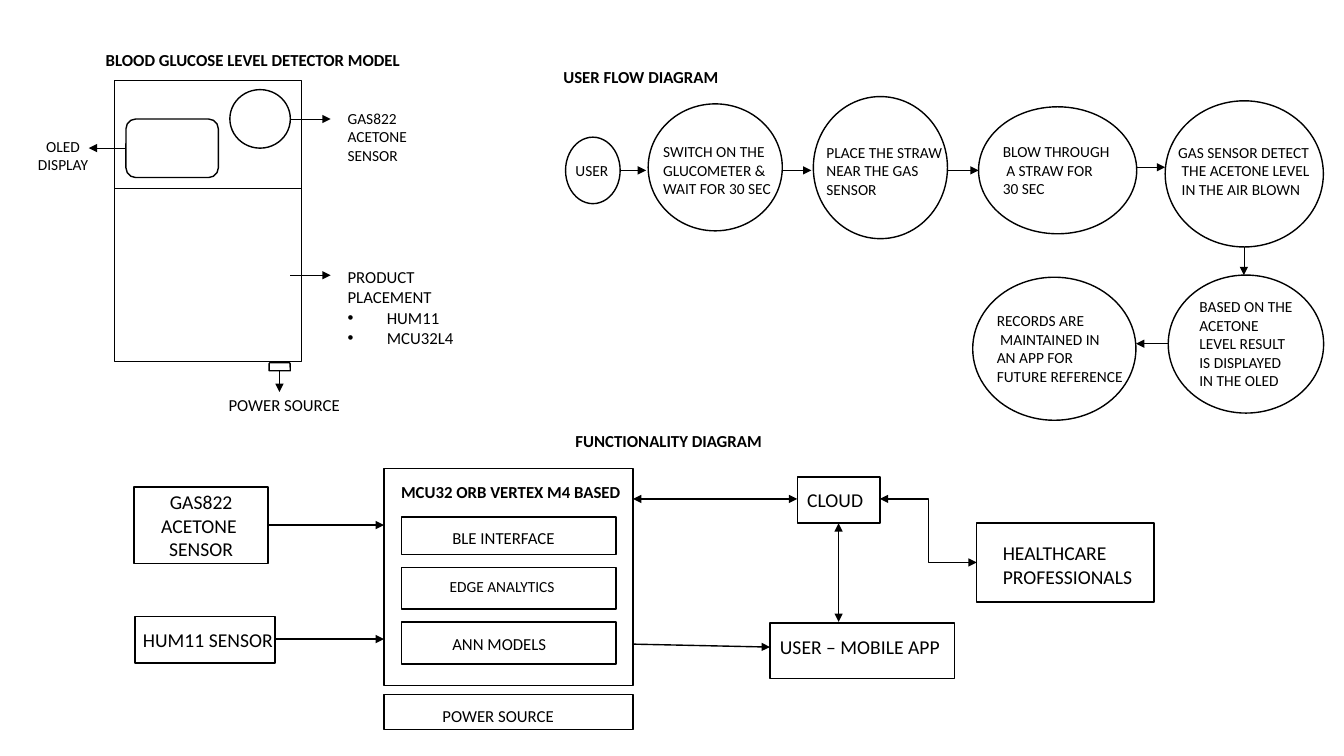
from lxml import etree
from pptx import Presentation
from pptx.dml.color import RGBColor
from pptx.enum.shapes import MSO_CONNECTOR, MSO_SHAPE
from pptx.enum.text import MSO_ANCHOR, MSO_AUTO_SIZE, PP_ALIGN
from pptx.oxml.ns import qn
from pptx.util import Pt

RECTANGLE = MSO_SHAPE.RECTANGLE
ROUNDED = MSO_SHAPE.ROUNDED_RECTANGLE
ROUND_TOP = MSO_SHAPE.ROUND_2_SAME_RECTANGLE
OVAL = MSO_SHAPE.OVAL
STRAIGHT = MSO_CONNECTOR.STRAIGHT
ELBOW = MSO_CONNECTOR.ELBOW
LEFT, CENTER = PP_ALIGN.LEFT, PP_ALIGN.CENTER
BLACK, WHITE = "000000", "FFFFFF"
FONT = "Calibri"


def set_line(shape, width):
    shape.line.color.rgb = RGBColor.from_string(BLACK)
    shape.line.width = Pt(width)


def set_text(shape, text, size, bold=False, alignment=LEFT):
    shape.text_frame.word_wrap = True
    shape.text_frame.text = text
    for paragraph in shape.text_frame.paragraphs:
        paragraph.alignment = alignment
        for run in paragraph.runs:
            run.font.name = FONT
            run.font.size = Pt(size)
            run.font.bold = bold
            run.font.color.rgb = RGBColor.from_string(BLACK)


presentation = Presentation()
presentation.slide_width = Pt(960)
presentation.slide_height = Pt(540)
slide = presentation.slides.add_slide(presentation.slide_layouts[6])

device = [
    (RECTANGLE, 82, 57.8, 133.5, 200.7, 0.75),
    (ROUNDED, 90, 85, 66, 41.8, 1),
    (OVAL, 164.2, 64, 43.2, 41.8, 1),
    (ROUND_TOP, 192.2, 259, 15.1, 5.8, 1),
]
flow_steps = [
    (404, 98, 39, 47.5),
    (463, 74.2, 95.8, 90.7),
    (581, 69, 95.8, 101.5),
    (699, 76.3, 113, 90.7),
    (832.3, 72, 113, 104.4),
    (834.5, 196.5, 111, 98.6),
    (694.8, 198, 116.6, 102.2),
]
blocks = [
    (274.3, 334.8, 177.8, 154.8),
    (274.3, 496, 177.8, 25.2),
    (96.5, 440.6, 100, 33.1),
    (286.6, 369.4, 153.4, 26.6),
    (286.6, 405.4, 153.4, 29.5),
    (286.6, 444.2, 153.4, 30.2),
    (550, 445, 131.8, 39.6),
    (697.7, 373.7, 126.7, 56.2),
    (569.5, 340.6, 59, 33.1),
    (95.8, 347.8, 95.8, 54.7),
]
shapes = device
shapes += [(OVAL, *step, 1) for step in flow_steps]
shapes += [(RECTANGLE, *block, 1) for block in blocks]

for kind, left, top, width, height, line_width in shapes:
    shape = slide.shapes.add_shape(kind, Pt(left), Pt(top), Pt(width), Pt(height))
    shape.shadow.inherit = False
    shape.fill.solid()
    shape.fill.fore_color.rgb = RGBColor.from_string(WHITE)
    set_line(shape, line_width)

acetone_block = shape
set_text(acetone_block, "GAS822 ACETONE \nSENSOR", 14, alignment=CENTER)
acetone_block.text_frame.vertical_anchor = MSO_ANCHOR.MIDDLE

labels = [
    (68.4, 31.7, 248, 21.6, "BLOOD GLUCOSE LEVEL DETECTOR MODEL", 12, True),
    (395.3, 43.9, 300, 21.6, "USER FLOW DIAGRAM", 12, True),
    (404, 303.8, 263, 21.6, "FUNCTIONALITY DIAGRAM", 12, True),
    (279.4, 340.6, 232, 21.6, "MCU32 ORB VERTEX M4 BASED", 12, True),
    (241.2, 74.2, 95.8, 47.5, "GAS822\nACETONE\nSENSOR", 11, False),
    (156.2, 278.6, 95.8, 21.6, "POWER SOURCE", 12, False),
    (404, 111.6, 57.6, 20.9, "USER", 11, False),
    (466.6, 98, 113, 47.5, "SWITCH ON THE GLUCOMETER & WAIT FOR 30 SEC", 11, False),
    (583.2, 98.6, 133, 47.5, "PLACE THE STRAW\nNEAR THE GAS\nSENSOR", 11, False),
    (709.2, 98, 120, 47.5, "BLOW THROUGH\n A STRAW FOR\n30 SEC", 11, False),
    (834.5, 98.6, 125, 47.5, "GAS SENSOR DETECT\n THE ACETONE LEVEL\n IN THE AIR BLOWN", 11, False),
    (849.6, 208.8, 110, 74.2, "BASED ON THE\nACETONE\nLEVEL RESULT\nIS DISPLAYED\nIN THE OLED", 11, False),
    (704.9, 218.9, 143, 60.5, "RECORDS ARE\n MAINTAINED IN\nAN APP FOR\nFUTURE REFERENCE", 11, False),
    (95, 445, 109.4, 24.5, "HUM11 SENSOR", 14, False),
    (316, 373.7, 132, 21.6, "BLE INTERFACE", 12, False),
    (314, 409, 132, 20.9, "EDGE ANALYTICS", 11, False),
    (316, 449.3, 97.2, 21.6, "ANN MODELS", 12, False),
    (309, 500.4, 189, 21.6, "POWER SOURCE", 12, False),
    (550, 450, 147.6, 24.5, "USER – MOBILE APP", 14, False),
    (709.2, 383, 189, 41, "HEALTHCARE\nPROFESSIONALS", 14, False),
    (569.5, 344.9, 105.8, 24.5, "CLOUD", 14, False),
    (17, 94.3, 56, 33.8, "OLED\nDISPLAY", 11, False),
    (241.2, 187.2, 127.4, 65.5, "PRODUCT\nPLACEMENT\nHUM11\nMCU32L4", 12, False),
]
for left, top, width, height, text, size, bold in labels:
    label = slide.shapes.add_textbox(Pt(left), Pt(top), Pt(width), Pt(height))
    alignment = CENTER if text.startswith("OLED") else LEFT
    set_text(label, text, size, bold, alignment)
    label.text_frame.auto_size = MSO_AUTO_SIZE.SHAPE_TO_FIT_TEXT

placement_label = label
for paragraph in placement_label.text_frame.paragraphs[2:]:
    properties = paragraph._p.get_or_add_pPr()
    properties.set("marL", str(Pt(28)))
    properties.set("indent", str(-Pt(28)))
    etree.SubElement(properties, qn("a:buFont")).set("typeface", "Arial")
    etree.SubElement(properties, qn("a:buChar")).set("char", "•")

ONE_WAY, TWO_WAY = ["tailEnd"], ["headEnd", "tailEnd"]
connectors = [
    (STRAIGHT, 82, 134.8, 215.5, 134.8, 0.5, []),
    (STRAIGHT, 207.4, 85, 236.2, 85, 0.5, ONE_WAY),
    (STRAIGHT, 90, 105.8, 63.4, 105.8, 0.5, ONE_WAY),
    (STRAIGHT, 207.4, 196.6, 236.2, 196.6, 0.5, ONE_WAY),
    (STRAIGHT, 199.6, 265, 199.6, 280, 0.5, ONE_WAY),
    (STRAIGHT, 442.8, 121.7, 461.5, 121.7, 0.5, ONE_WAY),
    (STRAIGHT, 558.7, 121.7, 579.6, 121.7, 0.5, ONE_WAY),
    (STRAIGHT, 676.8, 121.7, 699, 121.7, 0.5, ONE_WAY),
    (STRAIGHT, 811.5, 119.5, 832.3, 119.5, 0.5, ONE_WAY),
    (STRAIGHT, 888.5, 176.4, 888.5, 196.6, 0.5, ONE_WAY),
    (STRAIGHT, 834.5, 245.5, 811.5, 245.5, 0.5, ONE_WAY),
    (STRAIGHT, 196.5, 456.5, 274.3, 456.5, 1, ONE_WAY),
    (STRAIGHT, 191.6, 375.1, 274.3, 375.1, 1, ONE_WAY),
    (STRAIGHT, 452.1, 460.1, 550, 462.2, 1, ONE_WAY),
    (STRAIGHT, 452.1, 356.4, 569.5, 356.4, 1, TWO_WAY),
    (STRAIGHT, 599, 373.7, 599, 444.2, 1, TWO_WAY),
    (ELBOW, 628.5, 356.4, 697.7, 401.8, 1, TWO_WAY),
]
for kind, start_x, start_y, end_x, end_y, line_width, ends in connectors:
    connector = slide.shapes.add_connector(kind, Pt(start_x), Pt(start_y), Pt(end_x), Pt(end_y))
    set_line(connector, line_width)
    line = connector.line._get_or_add_ln()
    for end in ends:
        etree.SubElement(line, qn(f"a:{end}")).set("type", "triangle")
    etree.SubElement(connector._element.spPr, qn("a:effectLst"))

presentation.save("out.pptx")
